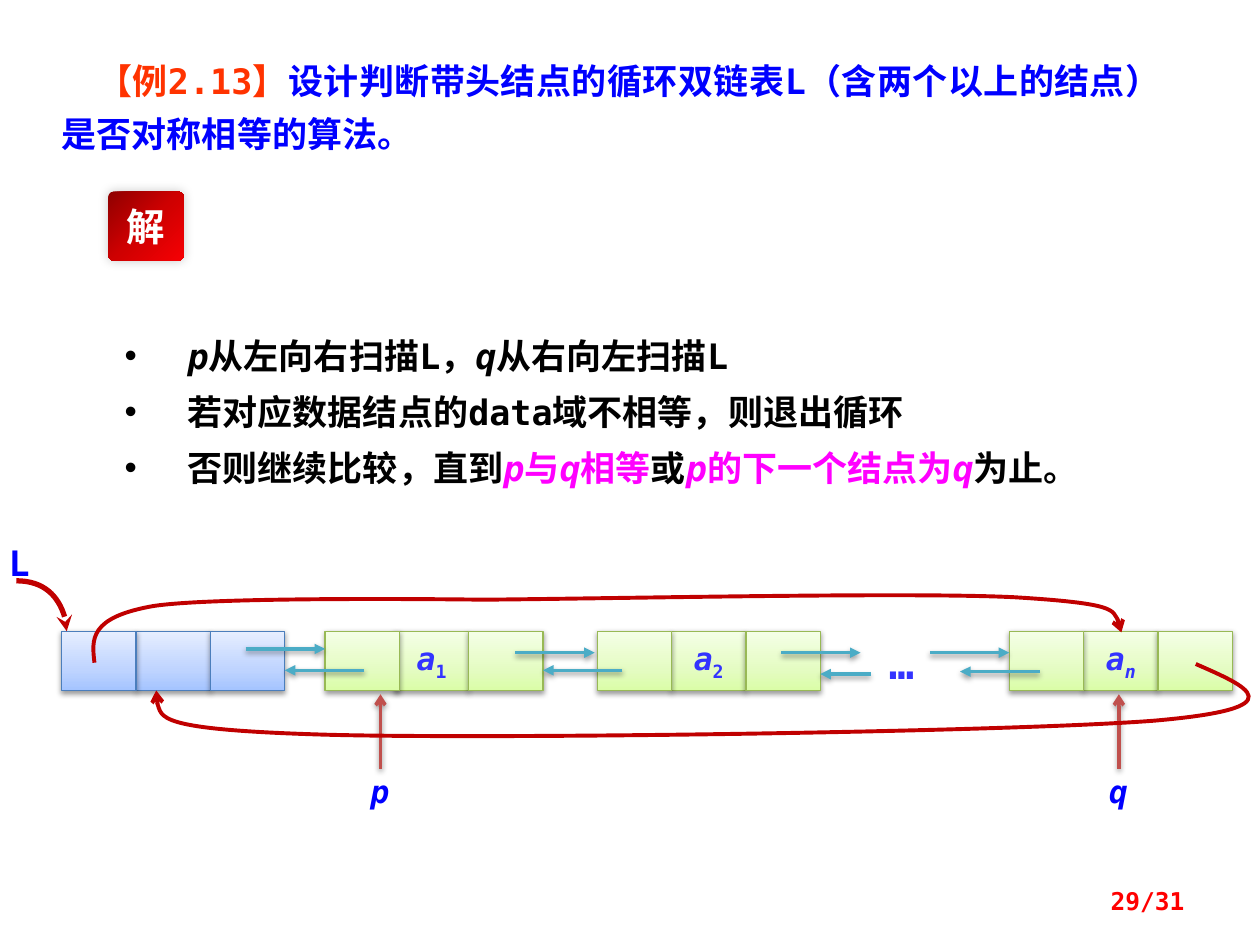
from copy import deepcopy
from lxml.etree import SubElement
from pptx import Presentation
from pptx.dml.color import RGBColor
from pptx.enum.shapes import MSO_CONNECTOR, MSO_SHAPE
from pptx.enum.text import MSO_ANCHOR, MSO_AUTO_SIZE, PP_ALIGN
from pptx.oxml.ns import qn
from pptx.util import Inches, Pt

COLORS = {
    "red": "FF0000", "orange": "FF3300", "blue": "0000FF", "indigo": "3333FF",
    "black": "000000", "magenta": "FF00FF", "white": "FFFFFF",
    "loop": "C00000", "link": "4BACC6", "pointer": "C0504D",
    "head_edge": "4B7EBC", "data_edge": "98B955",
}
GRADIENTS = {
    "head": ((0, "A4C4FF"), (0.35, "BFD4FF"), (1, "E6EEFF")),
    "data": ((0, "DAFDA7"), (0.35, "E4FCC2"), (1, "F5FFE7")),
    "badge": ((0, "8F0000"), (0.5, "CF0001"), (1, "F60004")),
}
MONO, HAN = "DejaVu Sans Mono", "Noto Sans CJK SC"


def write(paragraph, text, size=20, color="black", bold=True, italic=False, base=0, font=MONO):
    run = paragraph.add_run()
    run.text = text
    run.font.size, run.font.bold, run.font.italic = Pt(size), bold, italic
    run.font.color.rgb = RGBColor.from_string(COLORS[color])
    run.font.name = font
    properties = run._r.get_or_add_rPr()
    SubElement(properties, qn("a:ea"), typeface=HAN)
    if base:
        properties.set("baseline", str(base * 1000))


def finish(item, color=None, width=1, tail=None, shadow=None):
    if color:
        item.line.color.rgb = RGBColor.from_string(COLORS[color])
        item.line.width = Pt(width)
    else:
        item.line.fill.background()
    if tail:
        SubElement(item.line._get_or_add_ln(), qn("a:tailEnd"), type=tail)
    effects = SubElement(item._element.spPr, qn("a:effectLst"))
    if shadow:
        opacity, blur, distance, angle = shadow
        outer = SubElement(effects, qn("a:outerShdw"), blurRad=str(Pt(blur)), dist=str(Pt(distance)),
                           dir=str(angle * 60000), rotWithShape="0")
        black = SubElement(outer, qn("a:srgbClr"), val=COLORS["black"])
        SubElement(black, qn("a:alpha"), val=str(opacity * 1000))


prs = Presentation()
prs.slide_width, prs.slide_height = Inches(10), Inches(7.5)
col, row = prs.slide_width // 100, prs.slide_height // 75
slide = prs.slides.add_slide(prs.slide_layouts[1])
shapes = slide.shapes
question, steps = shapes.title, slide.placeholders[1]

for holder, (x, y, w, h) in ((question, (3.9, 3.4, 89.2, 9.4)), (steps, (8.3, 24.2, 75.8, 15.8))):
    holder.left, holder.top = int(x * col), int(y * row)
    holder.width, holder.height = int(w * col), int(h * row)
    holder.text_frame.auto_size = MSO_AUTO_SIZE.NONE
    holder.text_frame.vertical_anchor = MSO_ANCHOR.TOP
    holder.text_frame.word_wrap = True

sentence = question.text_frame.paragraphs[0]
sentence.alignment = PP_ALIGN.JUSTIFY
sentence.line_spacing = Pt(30)
sentence._p.get_or_add_pPr().set("indent", str(Inches(0.28)))
write(sentence, "【例2.13】", color="orange")
write(sentence, "设计判断带头结点的循环双链表L（含两个以上的结点）是否对称相等的算法。", color="blue")

steps.fill.solid()
steps.fill.fore_color.rgb = RGBColor.from_string(COLORS["white"])
frame = steps.text_frame
frame.margin_left, frame.margin_top, frame.margin_bottom = Inches(0.16), Inches(0.12), Inches(0.12)
step_runs = (
    (("p", "black"), ("从左向右扫描L，", "black"), ("q", "black"), ("从右向左扫描L", "black")),
    (("若对应数据结点的data域不相等，则退出循环", "black"),),
    (("否则继续比较，直到", "black"), ("p", "magenta"), ("与", "magenta"), ("q", "magenta"),
     ("相等", "magenta"), ("或", "black"), ("p", "magenta"), ("的下一个结点为", "magenta"),
     ("q", "magenta"), ("为止。", "black")),
)
for index, runs in enumerate(step_runs):
    step = frame.add_paragraph() if index else frame.paragraphs[0]
    step.line_spacing, step.space_before = Pt(32), Pt(0)
    layout = step._p.get_or_add_pPr()
    layout.set("marL", str(Inches(0.5)))
    layout.set("indent", str(-Inches(0.5)))
    SubElement(layout, qn("a:buChar"), char="•")
    for text, color in runs:
        write(step, text, color=color, italic=text in "pq")

cell, tall, node_top = 5.9, 4.7, 50.1
soft = (38, 3.1, 1.6, 90)
tiles = [(8.6, 15.2, 6, 5.5, "badge", "解", "")]
for left, middle, kind, letter, subscript in (
    (4.9, cell, "head", "", ""),
    (25.8, 5.5, "data", "a", "1"),
    (47.4, cell, "data", "a", "2"),
    (80.1, cell, "data", "a", "n"),
):
    tiles += [
        (left + middle, node_top, cell, tall, kind, letter, subscript),
        (left + middle + cell, node_top, cell, tall, kind, "", ""),
        (left, node_top, cell, tall, kind, "", ""),
    ]

for x, y, w, h, kind, text, subscript in tiles:
    badge = kind == "badge"
    preset = MSO_SHAPE.ROUNDED_RECTANGLE if badge else MSO_SHAPE.RECTANGLE
    tile = shapes.add_shape(preset, int(x * col), int(y * row), int(w * col), int(h * row))
    tile.fill.gradient()
    tile.fill.gradient_angle = 315 if badge else 90
    stops = tile._element.spPr.find(".//" + qn("a:gsLst"))
    stops.insert(1, deepcopy(stops[0]))
    for stop, (position, shade) in zip(tile.fill.gradient_stops, GRADIENTS[kind]):
        stop.position, stop.color.rgb = position, RGBColor.from_string(shade)
    if badge:
        tile.adjustments[0] = 0.084
        finish(tile, shadow=(20, 6, 0, 225))
    else:
        finish(tile, kind + "_edge", 0.75, shadow=soft)
    if text:
        tile.text_frame.word_wrap = False
        tile.text_frame.vertical_anchor = MSO_ANCHOR.MIDDLE
        caption = tile.text_frame.paragraphs[0]
        caption.alignment = PP_ALIGN.CENTER
        if badge:
            write(caption, text, size=22, color="white", font=HAN)
        else:
            write(caption, text, size=18, color="indigo", italic=True)
            write(caption, subscript, size=18, color="indigo", italic=subscript == "n", base=-25)

reach = 6.3
arrows = [(x, y, x + reach, y, "link", "triangle")
          for x, y in ((19.5, 51.5), (40.9, 51.8), (62, 51.8), (73.8, 51.8))]
arrows += [(x + length, y, x, y, "link", "triangle")
           for x, y, length in ((22.6, 53.2, reach), (43.1, 53.2, reach), (65.1, 53.5, 4), (76.2, 53.3, reach))]
arrows += [(x, 61, x, 55.1, "pointer", "arrow") for x in (30.2, 88.8)]
for x1, y1, x2, y2, color, tail in arrows:
    arrow = shapes.add_connector(MSO_CONNECTOR.STRAIGHT, int(x1 * col), int(y1 * row),
                                 int(x2 * col), int(y2 * row))
    finish(arrow, color, 2, tail, soft)

curves = (
    (3, "stealth", ((1.3, 46.1), (3.5, 46.1), (5.3, 47.9), (5.3, 50.1))),
    (2.25, "arrow", ((7.5, 52.6), (7.3, 50.8), (7, 49), (12.2, 48.1), (17.4, 47.3), (38.4, 47.6),
                     (38.4, 47.6), (49.8, 47.5), (72, 47), (80.4, 47.4), (88.8, 47.9),
                     (88.9, 49), (89, 50.2))),
    (2.25, "arrow", ((94.9, 52.7), (99, 54.5), (103.1, 56.2), (91.6, 57.2), (80, 58.1), (38.6, 58.7),
                     (25.4, 58.3), (12.2, 57.9), (12.3, 56.3), (12.4, 54.8))),
)
for width, tail, points in curves:
    start, *controls = [(x * col, y * row) for x, y in points]
    builder = shapes.build_freeform(*start)
    builder.add_line_segments(controls, close=False)
    curve = builder.convert_to_shape()
    curve.fill.background()
    finish(curve, "loop", width, tail)
    outline = curve._element.spPr.find(".//" + qn("a:path"))
    segments = outline.findall(qn("a:lnTo"))
    for first in range(0, len(segments), 3):
        bend = SubElement(outline, qn("a:cubicBezTo"))
        for segment in segments[first:first + 3]:
            bend.append(segment[0])
            outline.remove(segment)

labels = (
    ("…", 68.4, 50.1, 6.3, 5, 24, "indigo", PP_ALIGN.CENTER),
    ("L", -0.3, 42.5, 4.7, 4.4, 20, "blue", PP_ALIGN.LEFT),
    ("p", 27.4, 60.8, 5.5, 4, 18, "blue", PP_ALIGN.CENTER),
    ("q", 86, 60.8, 5.5, 4, 18, "blue", PP_ALIGN.CENTER),
    ("29/31", 71.7, 69.5, 23.3, 4, 14, "red", PP_ALIGN.RIGHT),
)
for text, x, y, w, h, size, color, alignment in labels:
    label = shapes.add_textbox(int(x * col), int(y * row), int(w * col), int(h * row))
    label.text_frame.word_wrap = True
    if text == "29/31":
        label.text_frame.vertical_anchor = MSO_ANCHOR.MIDDLE
    label.text_frame.paragraphs[0].alignment = alignment
    write(label.text_frame.paragraphs[0], text, size=size, color=color, italic=text in "pq")

prs.save("out.pptx")
